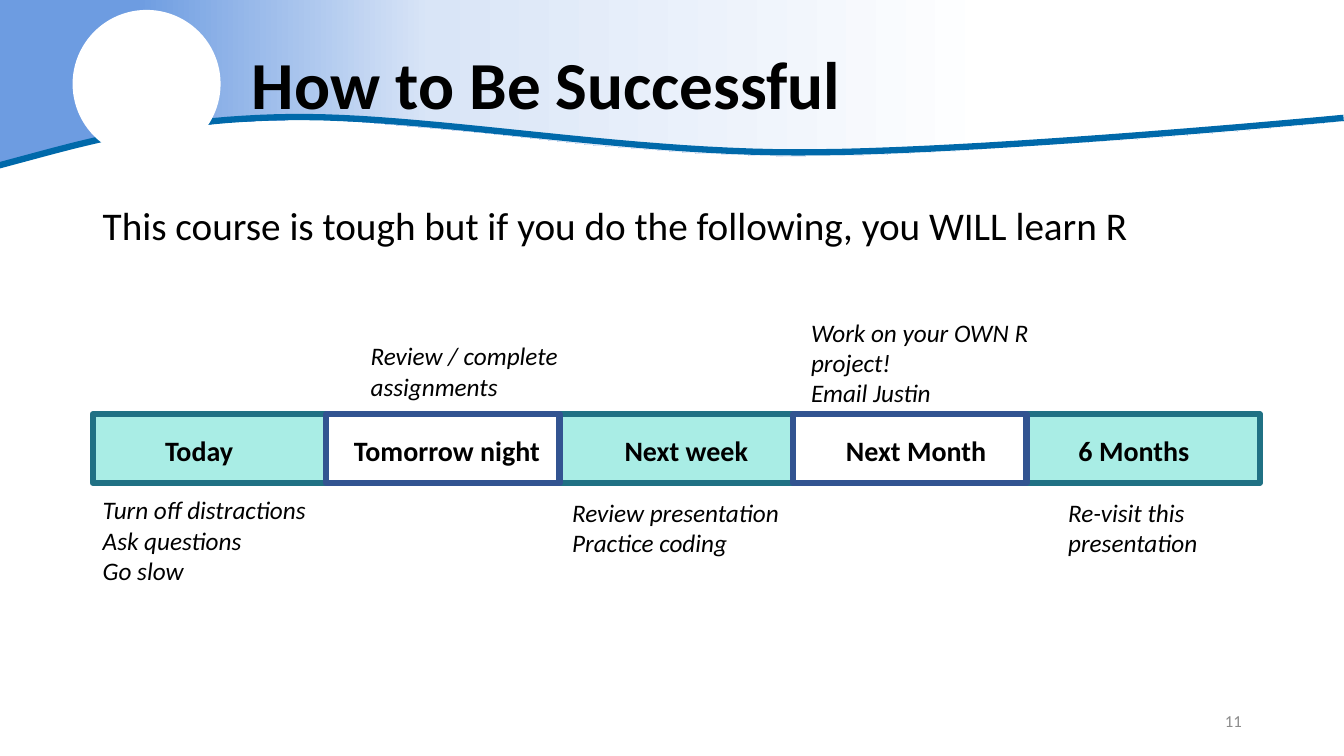
from copy import deepcopy

from pptx import Presentation
from pptx.dml.color import RGBColor
from pptx.enum.shapes import MSO_SHAPE as Kind
from pptx.enum.text import MSO_ANCHOR as Anchor, PP_ALIGN as Align
from pptx.oxml.ns import qn
from pptx.util import Cm, Pt
from lxml.etree import SubElement as Sub


def tint(code):
    return RGBColor.from_string(code)


def curve(nodes, steps=24):
    points = [nodes[0]]
    for k in range(0, len(nodes) - 1, 3):
        a, b, c, d = nodes[k:k + 4]
        for n in range(1, steps + 1):
            t = n / steps
            u = 1 - t
            points.append(tuple(
                u**3 * p + 3 * u * u * t * q + 3 * u * t * t * r + t**3 * s
                for p, q, r, s in zip(a, b, c, d)))
    return points


class Page:
    """Hold the slide and its style, and draw each kind of element."""

    font = "Calibri"
    ink = "000000"

    def __init__(self, slide):
        self.shapes = slide.shapes

    def paint(self, shape, fill=None, line=None):
        shape.shadow.inherit = False
        if fill:
            shape.fill.solid()
            shape.fill.fore_color.rgb = tint(fill)
        else:
            shape.fill.background()
        if line:
            shape.line.color.rgb = tint(line)
            shape.line.width = Pt(4.5)
        else:
            shape.line.fill.background()
        return shape

    def block(self, kind, place, fill, line=None):
        shape = self.shapes.add_shape(kind, *map(Cm, place))
        return self.paint(shape, fill, line)

    def outline(self, points, line=None, close=False):
        spots = [(Cm(x), Cm(y)) for x, y in points]
        pen = self.shapes.build_freeform(*spots[0], scale=1.0)
        pen.add_line_segments(spots[1:], close=close)
        return self.paint(pen.convert_to_shape(), line=line)

    def fade(self, shape, stops):
        fill = shape.fill
        fill.gradient()
        fill.gradient_angle = 0
        group = next(shape.element.iter(qn("a:gsLst")))
        group.append(deepcopy(group[0]))
        for stop, (place, code) in zip(fill.gradient_stops, stops):
            stop.position = place
            stop.color.rgb = tint(code)

    def text(self, place, lines, size, bold=False, slant=False, color=ink,
             anchor=Anchor.TOP, align=Align.LEFT, space=None, tabs=()):
        frame = self.shapes.add_textbox(*map(Cm, place)).text_frame
        frame.word_wrap = True
        frame.vertical_anchor = anchor
        for k, line in enumerate(lines):
            para = frame.add_paragraph() if k else frame.paragraphs[0]
            para.alignment = align
            if space:
                para.line_spacing = space
            if tabs:
                stops = Sub(para._p.get_or_add_pPr(), qn("a:tabLst"))
                for tab in tabs:
                    Sub(stops, qn("a:tab"), pos=str(Cm(tab)), algn="l")
            for n, part in enumerate(line.split("\n")):
                if n:
                    para.add_line_break()
                run = para.add_run()
                run.text = part
                font = run.font
                font.name, font.size = self.font, Pt(size)
                font.bold, font.italic = bold, slant
                font.color.rgb = tint(color)


EDGE = [
    (0, 0), (33.88, 0), (33.88, 3.05), (31.45, 3.28), (28.58, 3.51),
    (25.73, 3.68), (24.03, 3.81), (21.69, 3.91), (19.79, 3.94),
    (17.58, 3.86), (15.01, 3.66), (12.22, 3.35), (9.09, 3.07),
    (8.28, 3.02), (7.32, 3.02), (5.79, 3.07), (4.04, 3.28),
    (2.18, 3.61), (1.12, 3.84), (0, 4.19)]
WAVE = [
    (-0.03, 4.17), (1.91, 3.66), (3.94, 3), (7.29, 2.95), (10.64, 2.9),
    (15.62, 3.84), (20.07, 3.84), (24.49, 3.86), (33.86, 2.97),
    (33.86, 2.97)]
NOTES = [
    ((2.34, 12.34, 8.51, 2.57),
     ["Turn off distractions", "Ask questions", "Go slow"]),
    ((9.09, 8.46, 5.56, 1.8), ["Review / complete assignments"]),
    ((26.67, 12.4, 5.21, 1.8), ["Re-visit this presentation"]),
    ((14.17, 12.4, 5.99, 1.8), ["Review presentation\nPractice coding"]),
    ((20.19, 7.87, 6.5, 2.57),
     ["Work on your OWN R project!", "Email Justin"])]
STEPS = ["Today", "Tomorrow night", "Next week", "Next Month", "6 Months"]
TABS = [1.57, 6.33, 13.15, 18.73, 24.59]


def main():
    deck = Presentation()
    deck.slide_width, deck.slide_height = Cm(33.87), Cm(19.05)
    page = Page(deck.slides.add_slide(deck.slide_layouts[6]))

    band = page.outline(EDGE, close=True)
    page.fade(band, [(0.1, "6D9CE1"), (0.32, "D9E5F7"), (0.74, "FFFFFF")])
    page.outline(curve(WAVE), line="0069AA")
    page.block(Kind.OVAL, (1.83, 0.25, 3.73, 3.73), "FFFFFF")

    page.text((6.1, 0.51, 25.45, 3.4), ["How to Be Successful"], 48,
              bold=True, anchor=Anchor.MIDDLE, space=0.9)
    page.text((2.34, 5.08, 29.21, 12.09),
              ["This course is tough but if you do the following, "
               "you WILL learn R"], 28, space=0.9)
    page.text((23.93, 17.65, 7.62, 1.02), ["11"], 12, color="8C8C8C",
              anchor=Anchor.MIDDLE, align=Align.RIGHT)
    for place, lines in NOTES:
        page.text(place, lines, 18, slant=True)

    left, top, wide, high = 2.34, 10.44, 29.41, 1.73
    cell = wide / len(STEPS)
    page.block(Kind.RECTANGLE, (left, top, wide, high), "A9EDE5", "207184")
    for k in (1, 3):
        page.block(Kind.RECTANGLE, (left + k * cell, top, cell, high),
                   "FFFFFF", "325491")
    page.text((left, 10.8, wide, 1.12),
              ["".join("\t" + step for step in STEPS)], 20,
              bold=True, tabs=TABS)

    deck.save("out.pptx")


if __name__ == "__main__":
    main()
